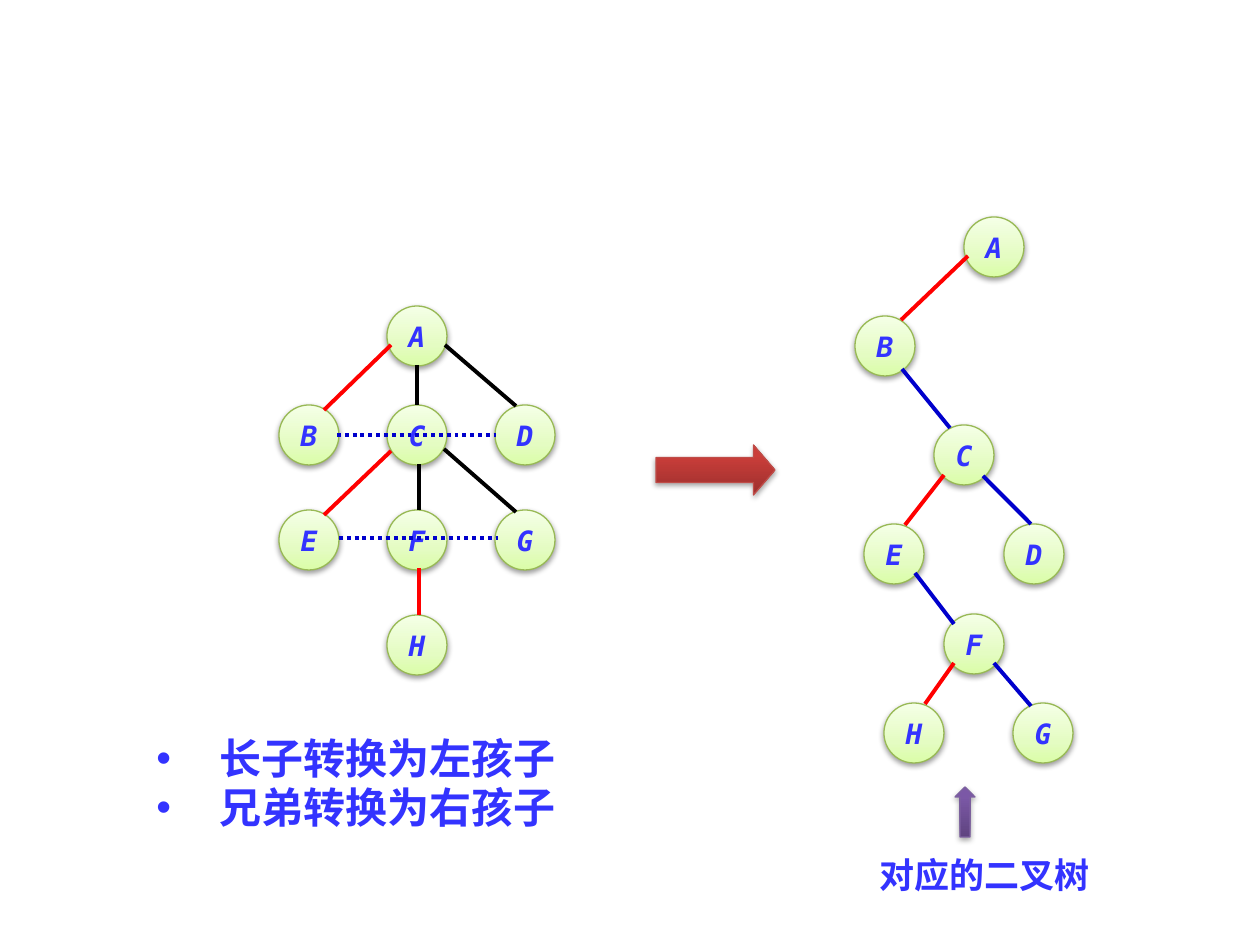
from lxml import etree
from pptx import Presentation
from pptx import util as u
from pptx.dml.color import RGBColor
from pptx.enum import dml, shapes, text
from pptx.oxml import ns

PX = u.Inches(10) / 1260
NODE = 60

BLUE_TEXT = RGBColor(0x33, 0x33, 0xFF)
SIBLING = RGBColor(0x00, 0x00, 0xCC)
FIRST_CHILD = RGBColor(0xFF, 0x00, 0x00)
OTHER_CHILD = RGBColor(0x00, 0x00, 0x00)
GREEN_LINE = RGBColor(0x98, 0xB9, 0x55)
RED_LINE = RGBColor(0xBF, 0x4C, 0x48)
PURPLE_LINE = RGBColor(0x7D, 0x60, 0xA0)
GREEN_STOPS = [(0, RGBColor(0xDA, 0xFD, 0xA7)), (35, RGBColor(0xE4, 0xFC, 0xC2)),
               (100, RGBColor(0xF5, 0xFF, 0xE7))]
RED_STOPS = [(0, RGBColor(0x9C, 0x2F, 0x2D)), (80, RGBColor(0xCB, 0x3E, 0x3A)),
             (100, RGBColor(0xCE, 0x3B, 0x37))]
PURPLE_STOPS = [(0, RGBColor(0x5F, 0x44, 0x80)), (80, RGBColor(0x7B, 0x58, 0xA6)),
                (100, RGBColor(0x7C, 0x57, 0xA8))]

GENERAL_NODES = {
    "A": (108, 0), "B": (0, 99), "C": (108, 99), "D": (216, 99),
    "E": (0, 204), "F": (108, 204), "G": (216, 204), "H": (108, 309),
}
GENERAL_EDGES = [
    (FIRST_CHILD, 112, 39, 45, 104),
    (FIRST_CHILD, 112, 145, 45, 209),
    (FIRST_CHILD, 140, 262, 140, 309),
    (OTHER_CHILD, 138, 59, 138, 99),
    (OTHER_CHILD, 166, 39, 237, 100),
    (OTHER_CHILD, 140, 158, 140, 204),
    (OTHER_CHILD, 165, 143, 237, 206),
]
SIBLING_LINKS = [(SIBLING, 58, 129, 217, 129), (SIBLING, 60, 232, 219, 232)]

BINARY_NODES = {
    "A": (109, 0), "B": (0, 99), "C": (79, 208), "D": (149, 307),
    "E": (9, 307), "F": (89, 397), "G": (158, 486), "H": (29, 486),
}
BINARY_EDGES = [
    (FIRST_CHILD, 113, 39, 46, 103),
    (FIRST_CHILD, 89, 258, 50, 308),
    (FIRST_CHILD, 99, 446, 70, 487),
    (SIBLING, 47, 152, 95, 211),
    (SIBLING, 128, 259, 176, 307),
    (SIBLING, 60, 356, 99, 407),
    (SIBLING, 139, 446, 176, 489),
]


def px(*lengths):
    return [u.Emu(round(length * PX)) for length in lengths]


def add_xml(parent, tag, **attributes):
    return etree.SubElement(parent, ns.qn(tag), attributes)


def set_font(paragraph, name, size, italic=False):
    font = paragraph.font
    font.name, font.size = name, u.Pt(size)
    font.bold, font.italic = True, italic
    font.color.rgb = BLUE_TEXT
    add_xml(paragraph._p.pPr.find(ns.qn("a:defRPr")), "a:ea", typeface=name)


def add_shaded(slide, kind, box, stops, line, shadow_alpha):
    """Add a preset shape with a vertical gradient and a soft shadow below."""
    shape = slide.shapes.add_shape(kind, *px(*box))
    shape.fill.gradient()
    shape.fill.gradient_angle = 90
    gradient_list = shape._element.spPr.find(".//" + ns.qn("a:gsLst"))
    for stop in list(gradient_list):
        gradient_list.remove(stop)
    for percent, color in stops:
        stop = add_xml(gradient_list, "a:gs", pos=str(percent * 1000))
        add_xml(stop, "a:srgbClr", val=str(color))
    gradient_list.getparent().find(ns.qn("a:lin")).set("ang", "16200000")
    shape.line.color.rgb = line
    shape.line.width = u.Pt(0.75)
    shape.shadow.inherit = False
    effects = shape._element.spPr.find(ns.qn("a:effectLst"))
    shadow = add_xml(effects, "a:outerShdw", blurRad="40000", dist="20000",
                     dir="5400000", rotWithShape="0")
    black = add_xml(shadow, "a:srgbClr", val="000000")
    add_xml(black, "a:alpha", val=str(shadow_alpha * 1000))
    return shape


def add_node(slide, left, top, letter):
    node = add_shaded(slide, shapes.MSO_SHAPE.OVAL, (left, top, NODE, NODE),
                      GREEN_STOPS, GREEN_LINE, 38)
    frame = node.text_frame
    frame.word_wrap = False
    frame.vertical_anchor = text.MSO_ANCHOR.MIDDLE
    label = frame.paragraphs[0]
    label.text = letter
    label.alignment = text.PP_ALIGN.CENTER
    set_font(label, "DejaVu Sans Mono", 16, italic=True)


def add_edge(slide, left, top, edge, dotted=False):
    color, x1, y1, x2, y2 = edge
    line = slide.shapes.add_connector(
        shapes.MSO_CONNECTOR.STRAIGHT,
        *px(left + x1, top + y1, left + x2, top + y2))
    line.line.color.rgb = color
    line.line.width = u.Pt(2.25)
    if dotted:
        line.line.dash_style = dml.MSO_LINE.ROUND_DOT
    add_xml(line._element.spPr, "a:effectLst")


def add_tree(slide, left, top, nodes, edges, links=()):
    for letter, (x, y) in nodes.items():
        add_node(slide, left + x, top + y, letter)
    for edge in edges:
        add_edge(slide, left, top, edge)
    for link in links:
        add_edge(slide, left, top, link, dotted=True)


def add_text_box(slide, box, lines, size):
    frame = slide.shapes.add_textbox(*px(*box)).text_frame
    frame.word_wrap = True
    frame.text = "\n".join(lines)
    return frame.paragraphs


def add_rules(slide, box):
    rules = add_text_box(slide, box, ["长子转换为左孩子", "兄弟转换为右孩子"], 24)
    for rule in rules:
        rule.line_spacing = u.Pt(28)
        properties = rule._p.get_or_add_pPr()
        properties.set("marL", str(u.Inches(0.5)))
        properties.set("indent", str(-u.Inches(0.5)))
        add_xml(properties, "a:buFont", typeface="Arial")
        add_xml(properties, "a:buChar", char="•")
        set_font(rule, "Noto Sans CJK SC", 24)


def add_binary_caption(slide, left, top):
    add_shaded(slide, shapes.MSO_SHAPE.UP_ARROW, (left + 88, top, 20, 50),
               PURPLE_STOPS, PURPLE_LINE, 35)
    caption, = add_text_box(slide, (left, top + 60, 280, 55), ["对应的二叉树"], 20)
    set_font(caption, "Noto Sans CJK SC", 20)


def main():
    deck = Presentation()
    deck.slide_width, deck.slide_height = u.Inches(10), u.Inches(7.5)
    slide = deck.slides.add_slide(deck.slide_layouts[6])
    add_tree(slide, 279, 306, GENERAL_NODES, GENERAL_EDGES, SIBLING_LINKS)
    add_tree(slide, 855, 217, BINARY_NODES, BINARY_EDGES)
    conversion = add_shaded(slide, shapes.MSO_SHAPE.RIGHT_ARROW, (656, 445, 119, 50),
                            RED_STOPS, RED_LINE, 35)
    conversion.adjustments[1] = 0.43
    add_binary_caption(slide, 867, 787)
    add_rules(slide, (144, 728, 663, 112))
    deck.save("out.pptx")


if __name__ == "__main__":
    main()
